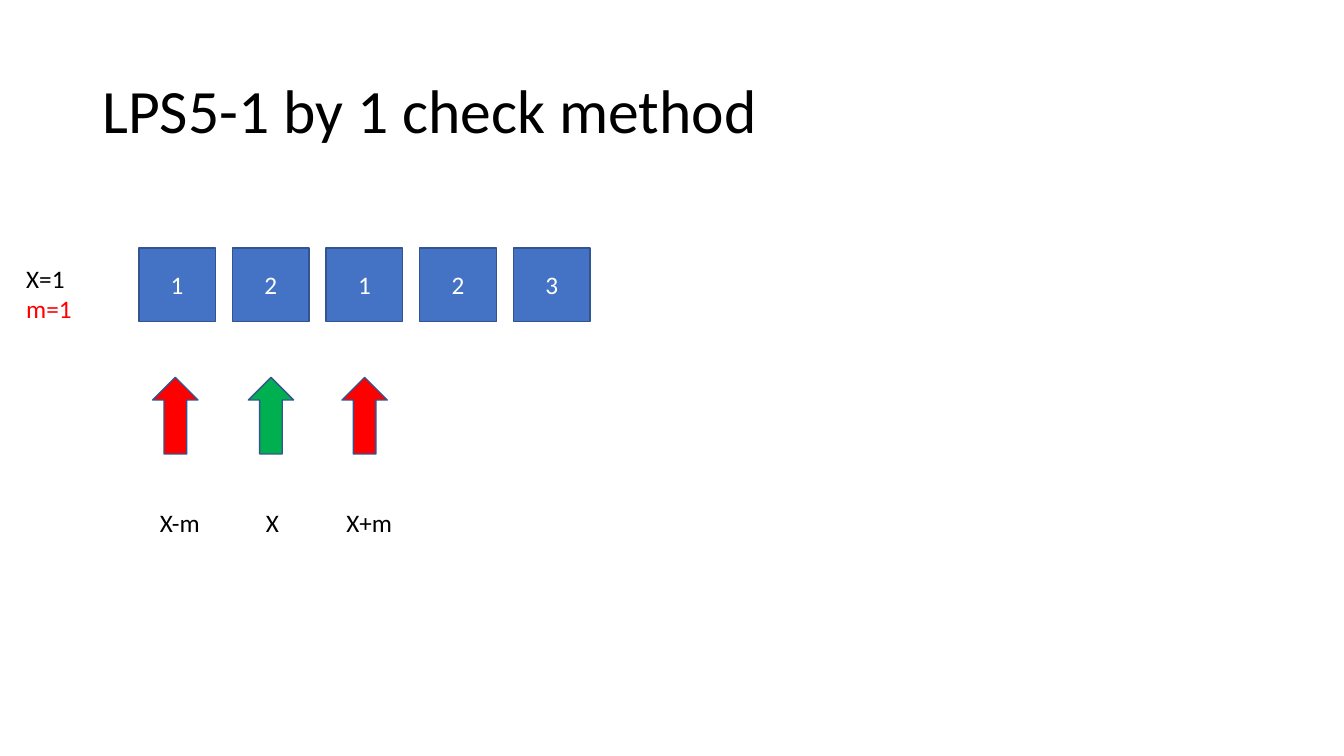
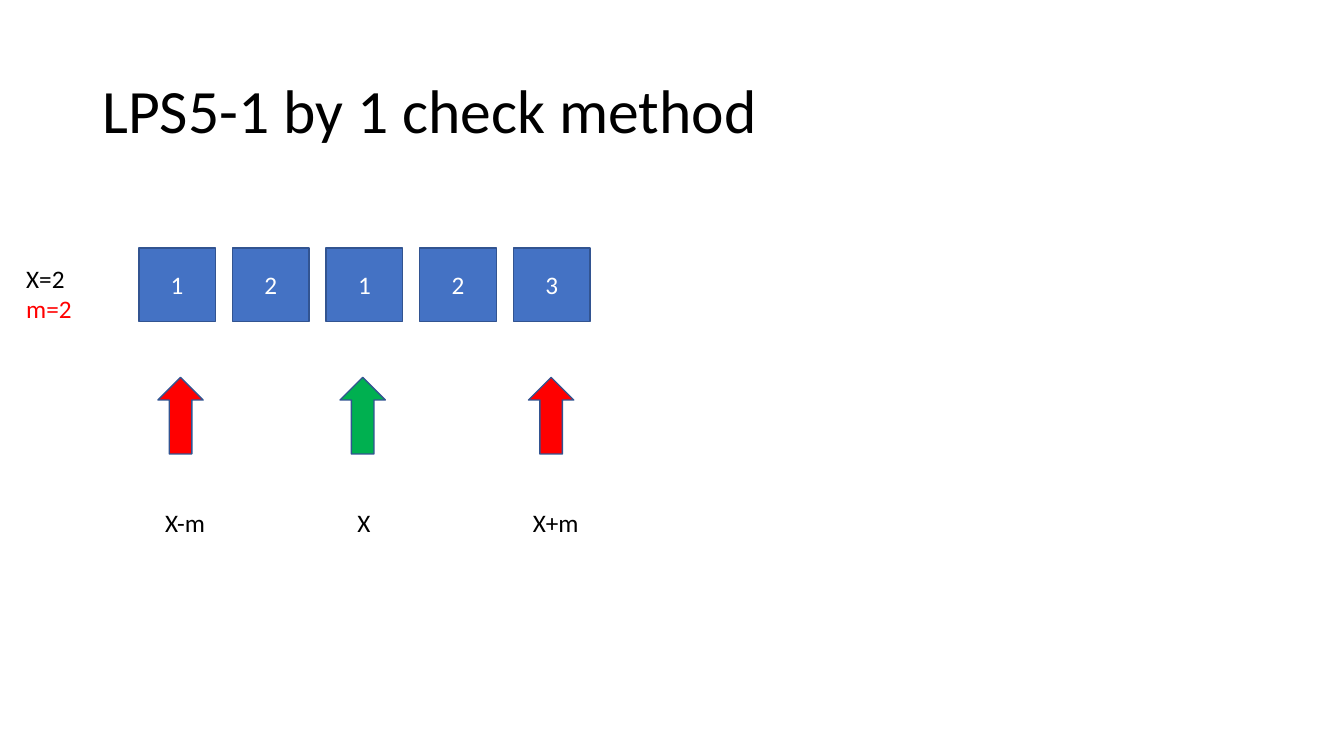
from pptx import Presentation
from pptx.dml.color import RGBColor
from pptx.enum.shapes import MSO_SHAPE as Shape
from pptx.enum.text import MSO_ANCHOR as Anchor, PP_ALIGN as Align
from pptx.util import Cm, Pt

FONT = "Calibri"
COLORS = {
    "text": "000000",
    "number": "FFFFFF",
    "cell": "4472C4",
    "outline": "325491",
    "side": "FF0000",
    "center": "00B050",
}
TITLE = "LPS5-1 by 1 check method"
NUMBERS = [1, 2, 1, 2, 3]

# Lengths in centimetres
CELL_LEFT, CELL_TOP, CELL_WIDTH, CELL_HEIGHT, CELL_STEP = 3.5, 6.25, 1.93, 1.85, 2.36
ARROW_TOP, ARROW_WIDTH, ARROW_HEIGHT = 9.51, 1.14, 1.93
LABEL_TOP, LABEL_HEIGHT = 12.65, 1.02

# Pointer label, colour, label width, label start left of the arrow's centre
POINTERS = [
    ("X-m", "side", 1.96, 0.64),
    ("X", "center", 0.79, 0.38),
    ("X+m", "side", 1.96, 0.71),
]
# Value of both X and m, and the centre of each arrow
STEPS = [
    (1, [4.42, 6.83, 9.19]),
    (2, [4.55, 9.14, 13.89]),
]


def write(frame, lines, size=18, align=Align.LEFT, anchor=Anchor.TOP, spacing=1.0):
    """Fill a text frame with one paragraph per (text, colour) pair."""
    frame.word_wrap = True
    frame.vertical_anchor = anchor
    for index, (text, color) in enumerate(lines):
        para = frame.add_paragraph() if index else frame.paragraphs[0]
        para.alignment = align
        para.line_spacing = spacing
        span = para.add_run()
        span.text = text
        span.font.name = FONT
        span.font.size = Pt(size)
        span.font.color.rgb = RGBColor.from_string(COLORS[color])


def add_figure(page, kind, left, top, width, height, color):
    """Draw a filled shape with the shared thin outline."""
    figure = page.shapes.add_shape(kind, Cm(left), Cm(top), Cm(width), Cm(height))
    figure.shadow.inherit = False
    figure.fill.solid()
    figure.fill.fore_color.rgb = RGBColor.from_string(COLORS[color])
    figure.line.color.rgb = RGBColor.from_string(COLORS["outline"])
    figure.line.width = Pt(1)
    return figure


deck = Presentation()
deck.slide_width, deck.slide_height = Cm(33.87), Cm(19.05)
blank = deck.slide_layouts[6]

for value, centers in STEPS:
    page = deck.slides.add_slide(blank)

    # Title
    box = page.shapes.add_textbox(Cm(2.33), Cm(1.01), Cm(29.21), Cm(3.68))
    write(box.text_frame, [(TITLE, "text")], size=44, anchor=Anchor.MIDDLE, spacing=0.9)

    # Number row
    for index, number in enumerate(NUMBERS):
        cell = add_figure(page, Shape.RECTANGLE, CELL_LEFT + index * CELL_STEP,
                          CELL_TOP, CELL_WIDTH, CELL_HEIGHT, "cell")
        write(cell.text_frame, [(str(number), "number")],
              align=Align.CENTER, anchor=Anchor.MIDDLE)

    # Arrows with their labels
    for (label, color, width, offset), center in zip(POINTERS, centers):
        add_figure(page, Shape.UP_ARROW, center - ARROW_WIDTH / 2,
                   ARROW_TOP, ARROW_WIDTH, ARROW_HEIGHT, color)
        box = page.shapes.add_textbox(Cm(center - offset), Cm(LABEL_TOP),
                                      Cm(width), Cm(LABEL_HEIGHT))
        write(box.text_frame, [(label, "text")])

    # Current values
    box = page.shapes.add_textbox(Cm(0.41), Cm(6.5), Cm(1.93), Cm(1.8))
    write(box.text_frame, [(f"X={value}", "text"), (f"m={value}", "side")])

deck.save("out.pptx")
